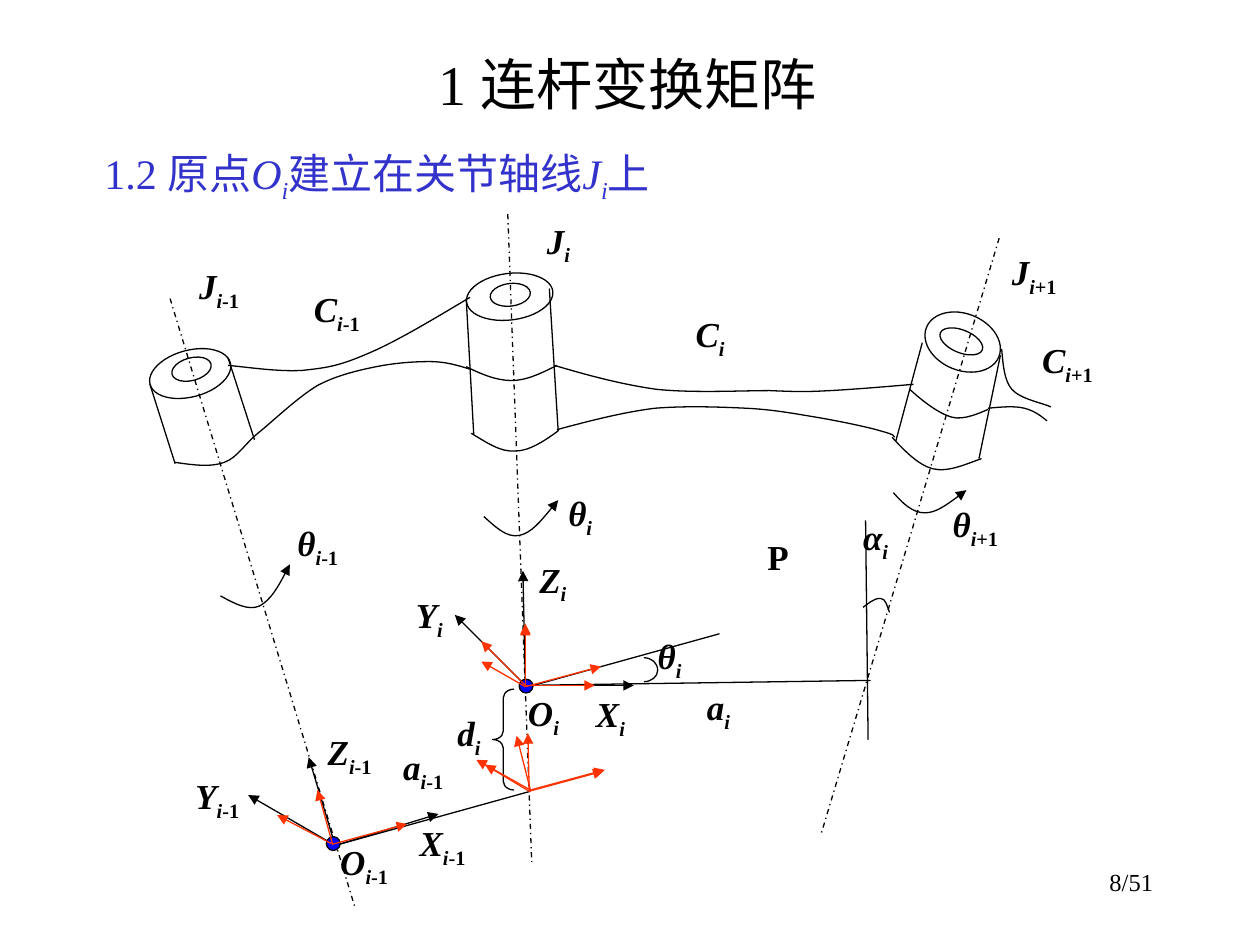
from lxml import etree
from pptx import Presentation
from pptx.dml.color import RGBColor
from pptx.enum.dml import MSO_LINE
from pptx.enum.shapes import MSO_CONNECTOR, MSO_SHAPE
from pptx.enum.text import MSO_ANCHOR, PP_ALIGN
from pptx.oxml.ns import qn
from pptx.util import Pt

PX = 9144
FONT = "Times New Roman"
COLORS = {"ink": "000000", "heading": "3333CC", "origin": "0000FF", "frame": "FF3300"}
STRAIGHT = MSO_CONNECTOR.STRAIGHT
OVAL, BRACE = MSO_SHAPE.OVAL, MSO_SHAPE.LEFT_BRACE
DASH_DOT = MSO_LINE.DASH_DOT
TOP, MIDDLE = MSO_ANCHOR.TOP, MSO_ANCHOR.MIDDLE
LEFT, CENTER, RIGHT, JUSTIFY = PP_ALIGN.LEFT, PP_ALIGN.CENTER, PP_ALIGN.RIGHT, PP_ALIGN.JUSTIFY


def rgb(name):
    return RGBColor.from_string(COLORS[name])


def text(s, box, runs, size=20, color="ink", bold=False, align=LEFT, anchor=TOP, inset=(10, 5)):
    sp = s.shapes.add_textbox(*(v * PX for v in box))
    tf = sp.text_frame
    tf.word_wrap = True
    tf.vertical_anchor = anchor
    tf.margin_left = tf.margin_right = inset[0] * PX
    tf.margin_top = tf.margin_bottom = inset[1] * PX
    p = tf.paragraphs[0]
    p.alignment = align
    for content, style in runs:
        r = p.add_run()
        r.text = content
        f = r.font
        f.name, f.size, f.bold = FONT, Pt(size), bold
        f.italic = "i" in style
        f.color.rgb = rgb(color)
        if "_" in style:
            r._r.get_or_add_rPr().set("baseline", "-25000")


def stroke(sp, color="ink", dash=None, arrow=False):
    sp.line.color.rgb = rgb(color)
    sp.line.width = Pt(0.75)
    if dash:
        sp.line.dash_style = dash
    if arrow:
        ln = sp.element.spPr.find(qn("a:ln"))
        etree.SubElement(ln, qn("a:tailEnd"), type="triangle")


def line(s, x1, y1, x2, y2, **fmt):
    sp = s.shapes.add_connector(STRAIGHT, *(v * PX for v in (x1, y1, x2, y2)))
    stroke(sp, **fmt)
    etree.SubElement(sp.element.spPr, qn("a:effectLst"))


def shape(s, kind, x, y, w, h, rotation=0, fill=None):
    sp = s.shapes.add_shape(kind, *(v * PX for v in (x, y, w, h)))
    sp.shadow.inherit = False
    sp.rotation = rotation
    if fill:
        sp.fill.solid()
        sp.fill.fore_color.rgb = rgb(fill)
    else:
        sp.fill.background()
    stroke(sp)
    return sp


def curve(s, x, y, points, **fmt):
    (x0, y0), *rest = [(x + dx, y + dy) for dx, dy in points]
    builder = s.shapes.build_freeform(x0, y0, scale=PX)
    builder.add_line_segments(rest, close=False)
    sp = builder.convert_to_shape()
    sp.shadow.inherit = False
    sp.fill.background()
    stroke(sp, **fmt)
    segments = list(sp.element.iter(qn("a:lnTo")))
    for i in range(0, len(segments), 3):
        bezier = etree.Element(qn("a:cubicBezTo"))
        segments[i].addprevious(bezier)
        for segment in segments[i:i + 3]:
            bezier.append(segment[0])
            segment.getparent().remove(segment)


def header(s, x, y):
    text(s, (x, y, 850, 66), [("1 连杆变换矩阵", "")], size=32, align=CENTER, anchor=MIDDLE)
    runs = [("1.2 原点", ""), ("O", "i"), ("i", "i_"), ("建立在关节轴线", ""),
            ("J", "i"), ("i", "i_"), ("上", "")]
    text(s, (x, y + 79, 459, 50), runs, size=24, color="heading")


def joint(s, x, y, rim, hole, rotation, sides, rings):
    shape(s, OVAL, x + hole[0], y + hole[1], *hole[2:], rotation=rotation)
    shape(s, OVAL, x, y, *rim, rotation=rotation)
    for x1, y1, x2, y2 in sides:
        line(s, x + x1, y + y1, x + x2, y + y2)
    for ring in rings:
        curve(s, x, y, ring)


def joints(s, x, y):
    joint(s, x + 18, y + 78, (66, 37), (18, 6, 32, 18), 345,
          [(1, 27, 21, 90), (63, 6, 84, 71)], [])
    joint(s, x + 270, y + 17, (69, 37), (19, 8, 32, 18), 352.9,
          [(0, 20, 6, 128), (66, 12, 73, 125)],
          [[(0, 74), (12, 80), (24, 85), (36, 85), (48, 85), (60, 79), (72, 73)],
           [(4, 127), (16, 134), (27, 142), (39, 141), (50, 141), (62, 133), (73, 125)]])
    joint(s, x + 633, y + 49, (62, 45), (12, 13, 36, 18), 22.2,
          [(-1, 23, -22, 101), (61, 33, 44, 115)],
          [[(-11, 60), (0, 70), (12, 79), (22, 82), (32, 85), (46, 78), (51, 76)],
           [(-25, 98), (-15, 109), (-4, 120), (7, 123), (19, 126), (32, 120), (46, 115)]])


def links(s, x, y):
    edges = [
        [(39, 167), (53, 169), (67, 171), (78, 167), (89, 163), (94, 152), (107, 142),
         (119, 132), (137, 115), (152, 106), (167, 98), (184, 94), (199, 91),
         (214, 88), (229, 87), (241, 87), (254, 87), (263, 90), (273, 93)],
        [(81, 90), (101, 92), (121, 95), (140, 94), (158, 92), (168, 91), (191, 81),
         (213, 72), (243, 54), (273, 36)],
        [(340, 90), (367, 98), (393, 105), (421, 109), (450, 112), (488, 110), (511, 110),
         (534, 111), (540, 111), (559, 110), (578, 109), (602, 107), (625, 105)],
        [(342, 141), (368, 134), (395, 127), (420, 124), (445, 122), (471, 123), (492, 124),
         (513, 125), (529, 128), (547, 131), (565, 134), (589, 139), (599, 142),
         (610, 145), (610, 146), (610, 147)],
        [(695, 77), (696, 89), (697, 102), (703, 109), (710, 117), (728, 120), (734, 123)],
        [(684, 124), (695, 123), (705, 122), (713, 124), (721, 126), (726, 130), (731, 134)],
    ]
    for edge in edges:
        curve(s, x, y, edge)


def axes(s, x, y):
    for x1, y1, x2, y2 in [(35, 37, 182, 521), (303, -30, 322, 484), (693, -11, 552, 461)]:
        line(s, x + x1, y + y1, x + x2, y + y2, dash=DASH_DOT)
    for x1, y1, x2, y2 in [(166, 471, 321, 428), (316, 344, 591, 340),
                           (587, 213, 589, 387), (316, 346, 471, 303)]:
        line(s, x + x1, y + y1, x + x2, y + y2)


def angles(s, x, y):
    turns = [
        [(75, 273), (86, 279), (97, 285), (106, 281), (115, 276), (123, 262), (130, 248)],
        [(284, 210), (293, 218), (302, 227), (312, 225), (322, 223), (332, 210), (343, 197)],
        [(609, 191), (616, 199), (624, 207), (634, 207), (643, 207), (655, 198), (667, 189)],
    ]
    for turn in turns:
        curve(s, x, y, turn, arrow=True)
    curve(s, x, y, [(585, 282), (590, 278), (596, 274), (599, 275), (603, 275), (604, 281), (606, 286)])
    curve(s, x, y, [(411, 322), (417, 322), (422, 326), (422, 332), (422, 337), (417, 341), (411, 341)])
    brace = shape(s, BRACE, x + 291, y + 347, 17, 80)
    brace.adjustments[0] = 0.4


def frame(s, x, y, tips, color="frame"):
    for dx, dy in tips:
        line(s, x, y, x + dx, y + dy, color=color, arrow=True)


def frames(s, x, y):
    frame(s, x + 317, y + 344, [(-56, -56), (-2, -91), (86, 0)], color="ink")
    frame(s, x + 166, y + 471, [(-69, -40), (-21, -70), (82, -25)], color="ink")
    for dx, dy in [(312, 339), (159, 464)]:
        shape(s, OVAL, x + dx, y + dy, 11, 11, fill="origin")
    frame(s, x + 164, y + 470, [(59, -16), (-12, -43), (-44, -23)])
    frame(s, x + 321, y + 427, [(59, -16), (-11, -43), (-43, -24)])
    frame(s, x + 320, y + 428, [(-1, -46), (-35, -21), (59, -16)])
    frame(s, x + 317, y + 345, [(0, -50), (-35, -20), (60, -16)])
    frame(s, x + 317, y + 344, [(0, -48), (55, 0), (-35, -35)])


def labels(s, x, y):
    entries = [
        ("J", "", 332, -27), ("J", "-1", 56, 9), ("J", "+1", 701, -2),
        ("C", "-1", 147, 27), ("C", "", 450, 47), ("C", "+1", 725, 68),
        ("d", "", 261, 364), ("a", "-1", 218, 391), ("a", "", 459, 343),
        ("θ", "", 420, 303), ("α", "", 583, 208), ("θ", "", 349, 189),
        ("θ", "-1", 134, 213), ("θ", "+1", 654, 198), ("Z", "", 326, 242),
        ("X", "", 371, 349), ("O", "", 317, 348), ("Y", "", 228, 270),
        ("Z", "-1", 158, 379), ("X", "-1", 231, 451), ("O", "-1", 168, 466),
        ("Y", "-1", 53, 414),
    ]
    rows = [([(symbol, "i"), ("i", "i_")] + ([(offset, "_")] if offset else []), dx, dy)
            for symbol, offset, dx, dy in entries]
    rows.append(([("P", "")], 507, 224))
    for runs, dx, dy in rows:
        text(s, (x + dx, y + dy, 58, 50), runs, bold=True, align=JUSTIFY, inset=(2, 1))


def main():
    prs = Presentation()
    prs.slide_width, prs.slide_height = 1000 * PX, 750 * PX
    s = prs.slides.add_slide(prs.slide_layouts[6])
    header(s, 73, 33)
    for region in (joints, links, axes, angles, frames, labels):
        region(s, 100, 200)
    text(s, (717, 683, 208, 50), [("8/51", "")], size=14, align=RIGHT)
    prs.save("out.pptx")


if __name__ == "__main__":
    main()
